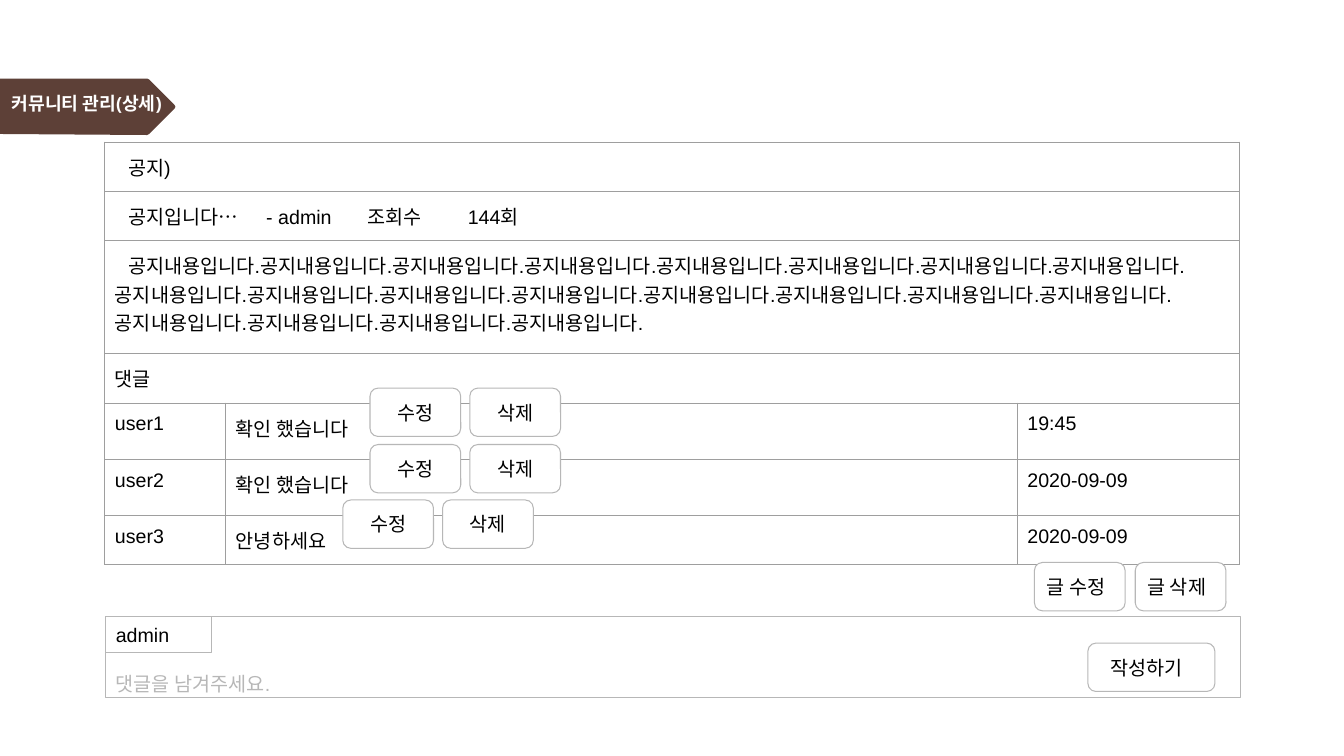
"""Build the community admin detail slide."""
from lxml.etree import SubElement
from pptx import Presentation
from pptx.dml.color import RGBColor
from pptx.enum.shapes import MSO_SHAPE
from pptx.enum.text import MSO_ANCHOR, MSO_AUTO_SIZE, PP_ALIGN
from pptx.oxml.ns import qn
from pptx.util import Inches, Pt

WHITE = RGBColor(0xFF, 0xFF, 0xFF)
BLACK = RGBColor(0, 0, 0)
BROWN = RGBColor(0x5D, 0x40, 0x37)
GREY = RGBColor(0x9E, 0x9E, 0x9E)
SILVER = RGBColor(0xB7, 0xB7, 0xB7)


def write(frame, text, size=14, font="Arial", color=BLACK, bold=False,
          align=PP_ALIGN.LEFT, indent=0, tabs=()):
    par = frame.paragraphs[0]
    par.alignment = align
    props = par._p.get_or_add_pPr()
    props.set("marL", "0")
    props.set("indent", str(Inches(indent)))
    if tabs:
        stops = SubElement(props, qn("a:tabLst"))
        for pos in tabs:
            SubElement(stops, qn("a:tab"), pos=str(Inches(pos)), algn="l")
    run = par.add_run()
    run.text = text
    run.font.size = Pt(size)
    run.font.name = font
    run.font.bold = bold
    run.font.color.rgb = color


def add_box(kind, left, top, width, height, text, **style):
    box = slide.shapes.add_shape(
        kind, Inches(left), Inches(top), Inches(width), Inches(height))
    box.shadow.inherit = False
    box.fill.solid()
    box.fill.fore_color.rgb = WHITE
    box.line.color.rgb = SILVER
    box.line.width = Pt(0.75)
    frame = box.text_frame
    frame.word_wrap = True
    frame.vertical_anchor = MSO_ANCHOR.MIDDLE
    frame.margin_left = frame.margin_right = Inches(0.1)
    frame.margin_top = frame.margin_bottom = Inches(0.1)
    write(frame, text, **style)
    return box


deck = Presentation()
deck.slide_width = Inches(13.33)
deck.slide_height = Inches(7.5)
slide = deck.slides.add_slide(deck.slide_layouts[5])

pen = slide.shapes.build_freeform(0, Inches(0.78), scale=1.0)
edge = [(1.46, 0.78), (1.48, 0.79), (1.73, 1.04), (1.74, 1.06),
        (1.73, 1.08), (1.48, 1.33), (1.46, 1.34), (0, 1.33)]
pen.add_line_segments([(Inches(x), Inches(y)) for x, y in edge])
tag = pen.convert_to_shape()
tag.shadow.inherit = False
tag.fill.solid()
tag.fill.fore_color.rgb = BROWN
tag.line.fill.background()

title = slide.shapes.title
title.left, title.top = Inches(-0.13), Inches(0.87)
title.width, title.height = Inches(1.98), Inches(0.76)
frame = title.text_frame
frame.word_wrap = True
frame.auto_size = MSO_AUTO_SIZE.NONE
frame.vertical_anchor = MSO_ANCHOR.TOP
write(frame, "커뮤니티 관리(상세)", size=13, font="Open Sans", color=WHITE,
      bold=True, align=PP_ALIGN.CENTER)
title.element.getparent().append(title.element)

wide = [
    ("공지)", {"indent": 0.13}),
    ("공지입니다…\t- admin\t조회수\t144회",
     {"indent": 0.13, "tabs": (6.47, 7.33, 8.01)}),
    ("공지내용입니다." * 20, {"indent": 0.13}),
    ("댓글", {}),
]
posts = [
    ("user1", "확인 했습니다", "19:45"),
    ("user2", "확인 했습니다", "2020-09-09"),
    ("user3", "안녕하세요", "2020-09-09"),
]
cols = [1.2, 7.85, 2.2]
rows = [0.49, 0.49, 1.12, 0.49, 0.56, 0.56, 0.48]
table = slide.shapes.add_table(
    len(rows), len(cols), Inches(1.04), Inches(1.41),
    Inches(sum(cols)), Inches(sum(rows))).table
table.first_row = table.horz_banding = False
for col, width in zip(table.columns, cols):
    col.width = Inches(width)
for row, height in zip(table.rows, rows):
    row.height = Inches(height)
for cell in table.iter_cells():
    cell.margin_left = cell.margin_right = Inches(0.1)
    cell.margin_top = cell.margin_bottom = Inches(0.1)
    props = cell._tc.get_or_add_tcPr()
    for side in ("lnL", "lnR", "lnT", "lnB"):
        line = SubElement(props, qn("a:" + side), w=str(Pt(0.75)))
        fill = SubElement(line, qn("a:solidFill"))
        SubElement(fill, qn("a:srgbClr"), val=str(GREY))
    cell.fill.background()
for r, (text, style) in enumerate(wide):
    table.cell(r, 0).merge(table.cell(r, 2))
    write(table.cell(r, 0).text_frame, text, **style)
for r, post in enumerate(posts, len(wide)):
    for c, text in enumerate(post):
        write(table.cell(r, c).text_frame, text)

RECT, ROUND = MSO_SHAPE.RECTANGLE, MSO_SHAPE.ROUNDED_RECTANGLE
reply = add_box(RECT, 1.05, 6.12, 11.25, 0.8, "댓글을 남겨주세요.", color=SILVER)
reply.text_frame.vertical_anchor = MSO_ANCHOR.BOTTOM
reply.text_frame.margin_bottom = Inches(0.02)
add_box(RECT, 1.05, 6.12, 1.05, 0.35, "admin")
add_box(ROUND, 10.79, 6.38, 1.26, 0.48, "작성하기", indent=0.1)
for i, text in enumerate(("글 수정", "글 삭제")):
    add_box(ROUND, 10.26 + i, 5.58, 0.9, 0.48, text)
for left, top in ((3.4, 4.96), (3.67, 4.41), (3.67, 3.85)):
    for i, text in enumerate(("수정", "삭제")):
        add_box(ROUND, left + 0.99 * i, top, 0.9, 0.48, text,
                align=PP_ALIGN.CENTER)

deck.save("out.pptx")
